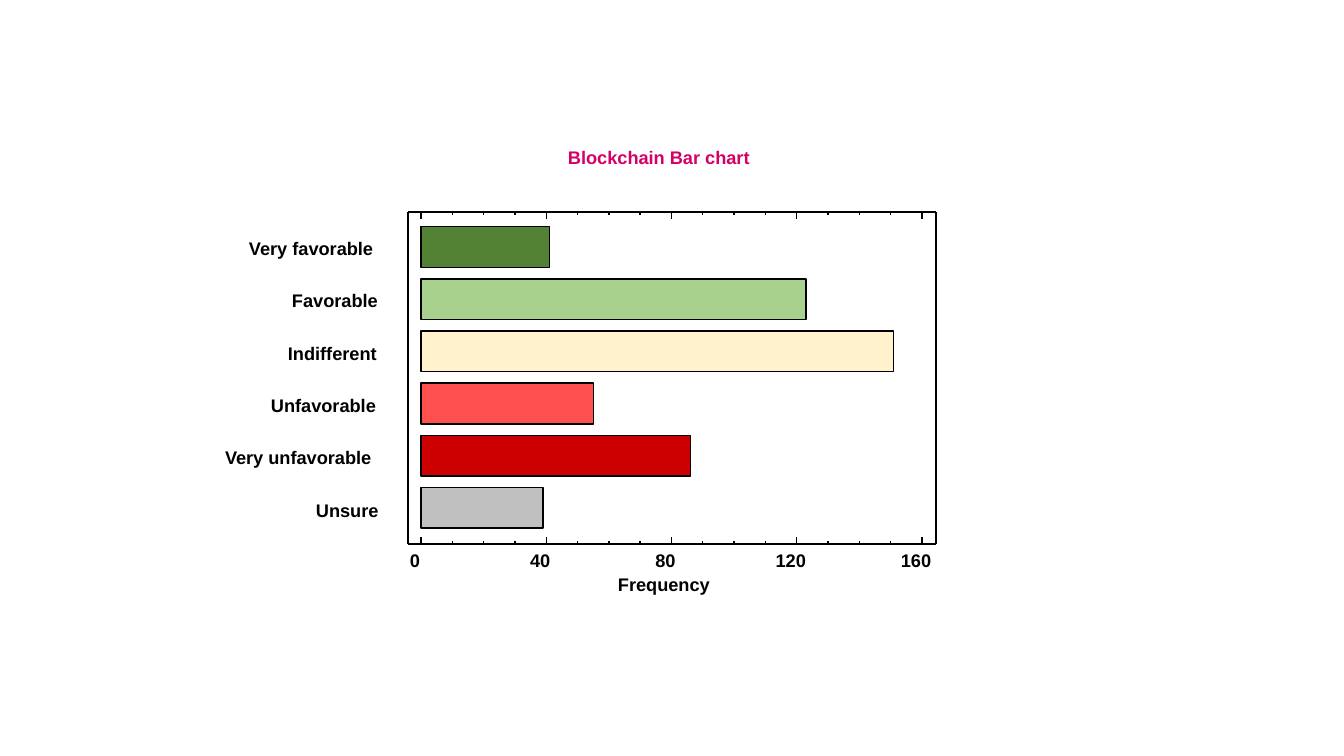
from lxml import etree
from pptx import Presentation
from pptx.chart.data import CategoryChartData
from pptx.dml.color import RGBColor
from pptx.enum.chart import XL_CHART_TYPE as ChartType
from pptx.enum.shapes import MSO_CONNECTOR as Connector
from pptx.enum.text import PP_ALIGN as Align
from pptx.oxml import parse_xml
from pptx.oxml.ns import nsdecls, qn
from pptx.util import Emu, Pt

FONT = "Arial"
BLACK = RGBColor(0x00, 0x00, 0x00)
PINK = RGBColor(0xD5, 0x00, 0x66)
DARK_GREEN = RGBColor(0x54, 0x82, 0x35)
LIGHT_GREEN = RGBColor(0xA9, 0xD1, 0x8E)
CREAM = RGBColor(0xFF, 0xF2, 0xCC)
LIGHT_RED = RGBColor(0xFF, 0x50, 0x50)
DARK_RED = RGBColor(0xCC, 0x00, 0x00)
GRAY = RGBColor(0xC0, 0xC0, 0xC0)

# Answer, frequency, bar colour, left edge of its label
ANSWERS = [
    ("Very favorable", 41, DARK_GREEN, 249),
    ("Favorable", 123, LIGHT_GREEN, 292),
    ("Indifferent", 151, CREAM, 288),
    ("Unfavorable", 55, LIGHT_RED, 271),
    ("Very unfavorable", 86, DARK_RED, 225),
    ("Unsure", 39, GRAY, 316),
]
AXIS_MAX, MAJOR_UNIT, MINOR_UNIT = 160, 40, 10

# Frame around the bars, and the plot area inside it
LEFT, TOP, RIGHT, BOTTOM = 408, 212, 936, 544
PLOT_LEFT, PLOT_TOP, PLOT_WIDTH, PLOT_HEIGHT = 421, 221, 501, 313


def px(length):
    return Emu(round(length * 914400 / 100.8))


def add_line(slide, x1, y1, x2, y2):
    line = slide.shapes.add_connector(
        Connector.STRAIGHT, px(x1), px(y1), px(x2), px(y2))
    line.line.color.rgb = BLACK
    line.line.width = Pt(1)
    etree.SubElement(line._element.spPr, qn("a:effectLst"))


def add_label(slide, text, left, top, width, color=BLACK, align=Align.LEFT):
    box = slide.shapes.add_textbox(px(left), px(top), px(width), px(22))
    frame = box.text_frame
    frame.margin_left = frame.margin_right = 0
    frame.margin_top = frame.margin_bottom = 0
    frame.word_wrap = True
    frame.text = text
    paragraph = frame.paragraphs[0]
    paragraph.alignment = align
    font = paragraph.runs[0].font
    font.name, font.size, font.bold = FONT, Pt(13), True
    font.color.rgb = color


def set_plot_layout(chart):
    width, height = RIGHT - LEFT, BOTTOM - TOP
    layout = parse_xml(
        f'<c:layout {nsdecls("c")}><c:manualLayout>'
        '<c:layoutTarget val="inner"/>'
        '<c:xMode val="edge"/><c:yMode val="edge"/>'
        f'<c:x val="{(PLOT_LEFT - LEFT) / width}"/>'
        f'<c:y val="{(PLOT_TOP - TOP) / height}"/>'
        f'<c:w val="{PLOT_WIDTH / width}"/>'
        f'<c:h val="{PLOT_HEIGHT / height}"/>'
        '</c:manualLayout></c:layout>')
    plot_area = chart._chartSpace.chart.plotArea
    for old_layout in plot_area.findall(qn("c:layout")):
        plot_area.remove(old_layout)
    plot_area.insert(0, layout)


def add_bars(slide):
    data = CategoryChartData()
    data.categories = [answer for answer, *_ in ANSWERS]
    data.add_series("Frequency", [value for _, value, *_ in ANSWERS])
    chart = slide.shapes.add_chart(
        ChartType.BAR_CLUSTERED, px(LEFT), px(TOP),
        px(RIGHT - LEFT), px(BOTTOM - TOP), data).chart
    chart.has_title = chart.has_legend = False
    chart.font.name, chart.font.size = FONT, Pt(13)
    chart.font.color.rgb = BLACK
    set_plot_layout(chart)

    category_axis, value_axis = chart.category_axis, chart.value_axis
    category_axis.reverse_order = True
    category_axis.visible = value_axis.visible = False
    value_axis.has_major_gridlines = False
    value_axis.minimum_scale, value_axis.maximum_scale = 0, AXIS_MAX
    value_axis.major_unit = MAJOR_UNIT

    plot = chart.plots[0]
    plot.vary_by_categories = False
    plot.gap_width = 28
    for index, (_, _, color, _) in enumerate(ANSWERS):
        bar = plot.series[0].points[index].format
        bar.fill.solid()
        bar.fill.fore_color.rgb = color
        bar.line.color.rgb = BLACK
        bar.line.width = Pt(1)


def add_frame(slide):
    for y in (TOP, BOTTOM):
        add_line(slide, LEFT, y, RIGHT, y)
    for x in (LEFT, RIGHT):
        add_line(slide, x, TOP, x, BOTTOM)


def add_scale(slide):
    for value in range(0, AXIS_MAX + 1, MINOR_UNIT):
        x = PLOT_LEFT + PLOT_WIDTH * value / AXIS_MAX
        is_major = value % MAJOR_UNIT == 0
        length = 7 if is_major else 3
        add_line(slide, x, TOP, x, TOP + length)
        add_line(slide, x, BOTTOM, x, BOTTOM - length)
        if is_major:
            add_label(slide, str(value), x - 26, 549, 40, align=Align.CENTER)


def main():
    presentation = Presentation()
    presentation.slide_width, presentation.slide_height = px(1344), px(756)
    slide = presentation.slides.add_slide(presentation.slide_layouts[6])

    # Bars, frame and scale
    add_bars(slide)
    add_frame(slide)
    add_scale(slide)

    # Title and axis labels
    add_label(slide, "Blockchain Bar chart", 568, 146, 200, PINK)
    add_label(slide, "Frequency", 618, 573, 110)
    for row, (answer, _, _, left) in enumerate(ANSWERS):
        add_label(slide, answer, left, 237 + row * 52.4, LEFT - left)

    presentation.save("out.pptx")


if __name__ == "__main__":
    main()
